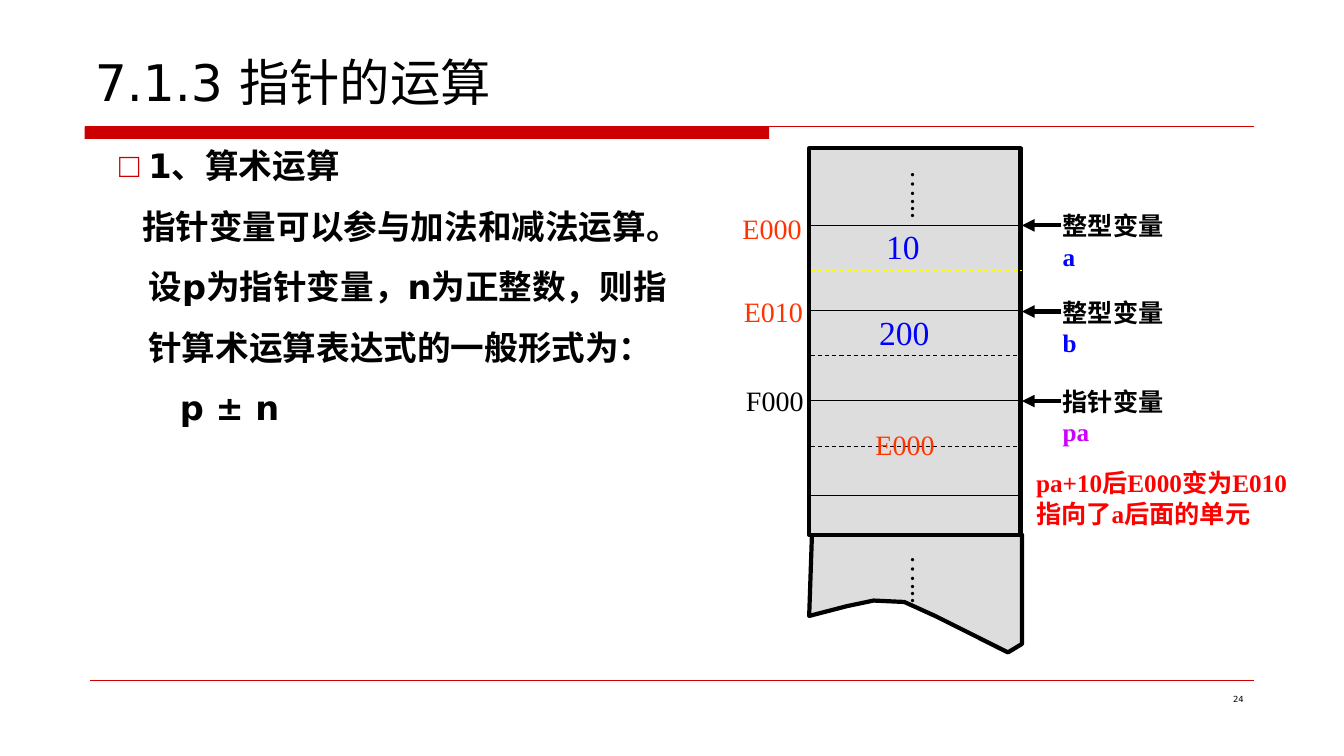
from lxml.etree import SubElement
from pptx import Presentation
from pptx.dml.color import RGBColor
from pptx.enum.dml import MSO_LINE_DASH_STYLE as Dash
from pptx.enum.shapes import MSO_CONNECTOR_TYPE as Connector, MSO_SHAPE as Preset
from pptx.enum.text import MSO_ANCHOR as Anchor, MSO_AUTO_SIZE as AutoSize, PP_ALIGN as Align
from pptx.oxml.ns import qn
from pptx.util import Pt

BLACK = RGBColor(0x00, 0x00, 0x00)
CRIMSON = RGBColor(0xCC, 0x00, 0x00)
RED = RGBColor(0xFF, 0x00, 0x00)
ORANGE = RGBColor(0xFF, 0x33, 0x00)
BLUE = RGBColor(0x00, 0x00, 0xFF)
PURPLE = RGBColor(0xCC, 0x00, 0xFF)
YELLOW = RGBColor(0xFF, 0xFF, 0x00)
GRAY = RGBColor(0xDD, 0xDD, 0xDD)
SANS, SERIF, CHINESE = "DejaVu Sans", "Times New Roman", "Noto Sans CJK SC"


def apply(target, values):
    """Set every attribute named in a dict of format values."""
    for name, value in values.items():
        setattr(target, name, value)


def place(shape, left, top, width, height):
    """Move and size a shape, in points."""
    apply(shape, {"left": Pt(left), "top": Pt(top), "width": Pt(width), "height": Pt(height)})


def add_run(paragraph, text, size, color=BLACK, font=SANS, bold=False):
    """Add a run with Latin and Chinese fonts."""
    run = paragraph.add_run()
    run.text = text
    apply(run.font, {"name": font, "size": Pt(size), "bold": bold})
    run.font.color.rgb = color
    SubElement(run.font._element, qn("a:ea"), typeface=CHINESE)


def add_text(slide, box, lines, size, wrap=True, bold=False, font=SERIF, vertical=False, **layout):
    """Add a text box; each line is a list of (text, color) parts."""
    frame = slide.shapes.add_textbox(*map(Pt, box)).text_frame
    apply(frame, {"word_wrap": wrap, "vertical_anchor": layout.get("anchor", Anchor.TOP)})
    if vertical:
        frame._txBody.bodyPr.set("vert", "eaVert")
    for index, parts in enumerate(lines):
        paragraph = frame.add_paragraph() if index else frame.paragraphs[0]
        paragraph.alignment = layout.get("align", Align.LEFT)
        for text, color in parts:
            add_run(paragraph, text, size, color, font, bold)


def add_centered(slide, x, y, text, size, color, vertical=False):
    """Add an unwrapped label centred on a point."""
    width, height = 58, 40
    add_text(slide, (x - width / 2, y - height / 2, width, height), [[(text, color)]], size,
             wrap=False, vertical=vertical, anchor=Anchor.MIDDLE, align=Align.CENTER)


def add_line(slide, start, end, color=BLACK, width=0.75, dash=None, arrow=False):
    """Add a straight line, optionally dashed or with an arrowhead at its end."""
    connector = slide.shapes.add_connector(Connector.STRAIGHT, *map(Pt, (*start, *end)))
    connector.line.color.rgb = color
    apply(connector.line, {"width": Pt(width), "dash_style": dash})
    if arrow:
        SubElement(connector.line._get_or_add_ln(), qn("a:tailEnd"), type="triangle")
    SubElement(connector._element.spPr, qn("a:effectLst"))


def paint(shape, fill, line=None):
    """Give a shape a flat fill and a heavy outline or none."""
    shape.shadow.inherit = False
    shape.fill.solid()
    shape.fill.fore_color.rgb = fill
    if line is None:
        shape.line.fill.background()
    else:
        shape.line.color.rgb = line
        shape.line.width = Pt(3)


def build_frame(slide, left, top, width, height):
    """Draw the title bar, the rules and the page number."""
    right, bottom = left + width, top + height
    bar = slide.shapes.add_shape(Preset.RECTANGLE, Pt(left), Pt(top), Pt(489), Pt(8.6))
    paint(bar, CRIMSON)
    add_line(slide, (left, top), (right, top), CRIMSON)
    add_line(slide, (left + 4, bottom), (right, bottom), CRIMSON, 0.25)
    add_text(slide, (right - 208, bottom + 6, 208, 37), [[("24", BLACK)]], 6,
             font=SANS, align=Align.RIGHT)


def build_title(slide, *box):
    """Fill the title placeholder."""
    title = slide.shapes.title
    place(title, *box)
    apply(title.text_frame, {"word_wrap": False, "vertical_anchor": Anchor.BOTTOM,
                             "auto_size": AutoSize.NONE})
    paragraph = title.text_frame.paragraphs[0]
    paragraph.alignment = Align.LEFT
    add_run(paragraph, "7.1.3 指针的运算", 36)


def build_body(slide, *box):
    """Fill the body placeholder with the heading, the explanation and the formula."""
    body = slide.placeholders[1]
    place(body, *box)
    frame = body.text_frame
    apply(frame, {"word_wrap": True, "auto_size": AutoSize.NONE})
    lines = [
        ("1、算术运算", 21, -21, 29),
        ("指针变量可以参与加法和减法运算。设p为指针变量，n为正整数，则指针算术运算表达式的一般形式为：",
         21, -4.5, 43.2),
        ("p ± n", 43.5, 0, 43.2),
    ]
    for index, (text, margin, indent, spacing) in enumerate(lines):
        paragraph = frame.add_paragraph() if index else frame.paragraphs[0]
        apply(paragraph, {"alignment": Align.LEFT, "line_spacing": Pt(spacing),
                          "space_before": Pt(0), "space_after": Pt(0)})
        properties = paragraph._p.get_or_add_pPr()
        properties.set("marL", str(Pt(margin)))
        properties.set("indent", str(Pt(indent)))
        if index:
            SubElement(properties, qn("a:buNone"))
        else:
            color = SubElement(properties, qn("a:buClr"))
            SubElement(color, qn("a:srgbClr"), val=str(CRIMSON))
            SubElement(properties, qn("a:buChar"), char="□")
        add_run(paragraph, text, 24, bold=True)


def build_memory(slide, left, top, width, height):
    """Draw the memory column with its torn end, cells, addresses and variables."""
    right, bottom = left + width, top + height
    torn = [(width + 1, 0), (width + 1, 78), (142, 84), (90, 58), (67.5, 48), (45.5, 47),
            (27, 51), (0, 58.5)]
    builder = slide.shapes.build_freeform(left + 1.5, bottom, scale=Pt(1))
    builder.add_line_segments([(left + x, bottom + y) for x, y in torn], close=True)
    paint(builder.convert_to_shape(), GRAY, BLACK)
    column = slide.shapes.add_shape(Preset.RECTANGLE, *map(Pt, (left, top, width, height)))
    paint(column, GRAY, BLACK)

    dividers = [(55, BLACK, None), (87, YELLOW, Dash.DASH), (116, BLACK, None),
                (148, BLACK, Dash.DASH), (180, BLACK, None), (213, BLACK, Dash.DASH),
                (248, BLACK, None)]
    for y, color, dash in dividers:
        add_line(slide, (left + 1, top + y), (right + 1, top + y), color, dash=dash)

    labels = [("E000", -26.5, 57, 20, ORANGE), ("E010", -25.5, 116, 20, ORANGE),
              ("F000", -24.5, 180, 20, BLACK), ("10", 67, 70, 24, BLUE),
              ("200", 68, 131, 24, BLUE), ("E000", 68.5, 211, 20, ORANGE)]
    for text, x, y, size, color in labels:
        add_centered(slide, left + x, top + y, text, size, color)
    for y in (28.5, 304):
        add_centered(slide, left + 81, top + y, "…...", 20, BLACK, vertical=True)

    variables = [("整型变量", "a", 55, BLUE), ("整型变量", "b", 116.5, BLUE),
                 ("指针变量", "pa", 180.5, PURPLE)]
    for kind, name, y, color in variables:
        add_line(slide, (right + 29, top + y), (right + 1, top + y), width=3, arrow=True)
        add_text(slide, (right + 23, top + y - 14, 92, 52), [[(kind, BLACK), (name, color)]],
                 18, bold=True)
    add_text(slide, (right + 4, top + 224.5, 196, 74),
             [[("pa+10后E000变为E010", RED)], [("指向了a后面的单元", RED)]], 18, bold=True)


def main():
    """Build and save the slide."""
    presentation = Presentation()
    apply(presentation, {"slide_width": Pt(960), "slide_height": Pt(540)})
    slide = presentation.slides.add_slide(presentation.slide_layouts[1])
    build_frame(slide, 60.5, 90.7, 835, 395.3)
    build_title(slide, 60.5, 43, 317.5, 40)
    build_body(slide, 77.8, 100, 417, 376.5)
    build_memory(slide, 578, 106, 151, 276)
    presentation.save("out.pptx")


if __name__ == "__main__":
    main()
